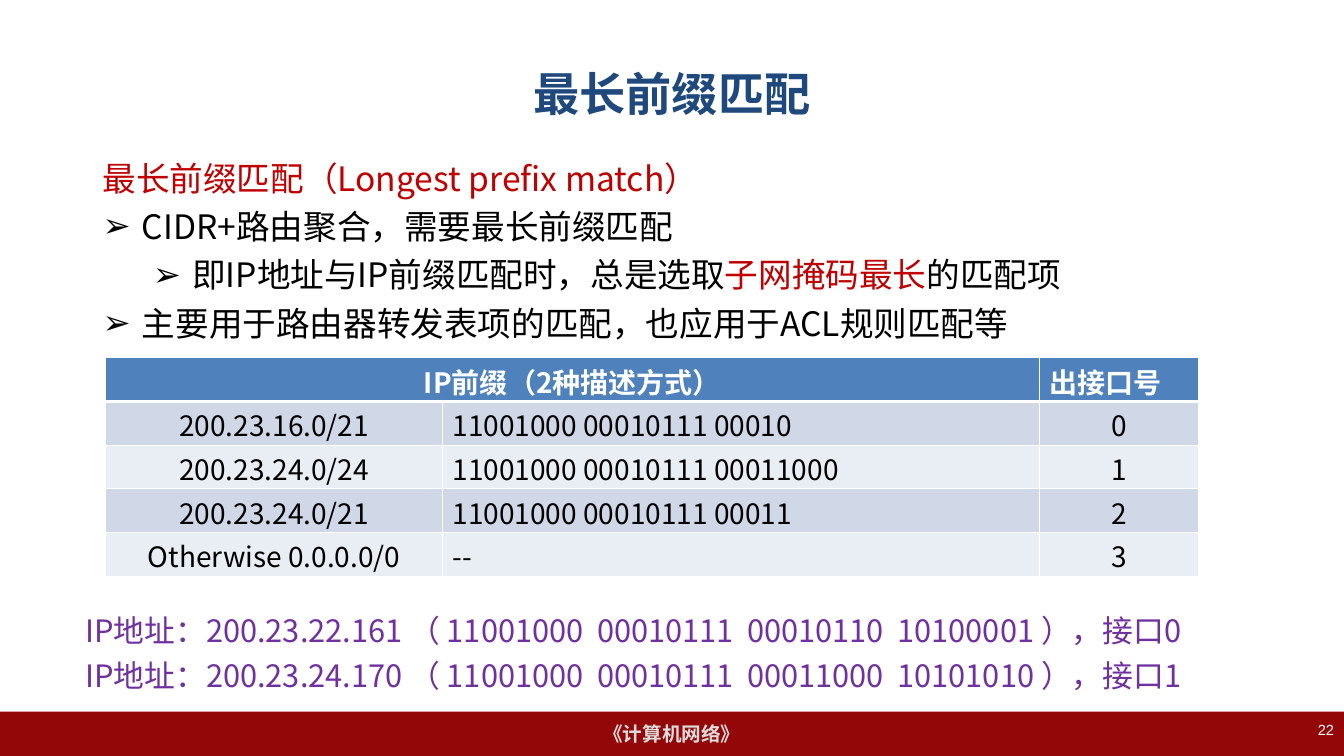
"""Build the longest prefix match slide of a computer networks course."""
from dataclasses import dataclass

import lxml.etree
import pptx
import pptx.dml.color
import pptx.enum.shapes
import pptx.enum.text
import pptx.oxml.ns
import pptx.util

Pt = pptx.util.Pt
RGBColor = pptx.dml.color.RGBColor
Align = pptx.enum.text.PP_ALIGN
Anchor = pptx.enum.text.MSO_ANCHOR
qn = pptx.oxml.ns.qn

WHITE = RGBColor(0xFF, 0xFF, 0xFF)
BLACK = RGBColor(0, 0, 0)
NAVY = RGBColor(0x1F, 0x49, 0x7D)
RED = RGBColor(0xC0, 0, 0)
PURPLE = RGBColor(0x70, 0x30, 0xA0)
MAROON = RGBColor(0x94, 0x07, 0x09)
PALE_GREY = RGBColor(0xDD, 0xDD, 0xDD)
HEADER_BLUE = RGBColor(0x4F, 0x81, 0xBD)
BANDS = (RGBColor(0xD0, 0xD8, 0xE8), RGBColor(0xE9, 0xED, 0xF4))
SANS = "Noto Sans CJK SC"
HANGING = 28.1
ROW_HEIGHT = 31.2
COLUMN_WIDTHS = (240.5, 426.2, 113.8)
COLUMN_ALIGNS = (Align.CENTER, Align.LEFT, Align.CENTER)
HEADER = ("IP前缀（2种描述方式）", "", "出接口号")
ROUTES = (
    ("200.23.16.0/21", "11001000 00010111 00010", "0"),
    ("200.23.24.0/24", "11001000 00010111 00011000", "1"),
    ("200.23.24.0/21", "11001000 00010111 00011", "2"),
    ("Otherwise 0.0.0.0/0", "--", "3"),
)


@dataclass(frozen=True)
class Style:
    """Hold the look of a run."""
    size: float
    color: RGBColor
    name: str = SANS
    bold: bool = False


@dataclass(frozen=True)
class Span:
    """Hold a stretch of text with one style."""
    text: str
    style: Style


@dataclass(frozen=True)
class Para:
    """Hold a paragraph, bulleted when its indent is above zero."""
    spans: tuple[Span, ...]
    align: Align = Align.LEFT
    indent: float = 0
    line: float | None = None
    before: float = 0


@dataclass(frozen=True)
class Box:
    """Hold a text box with its place in points."""
    left: float
    top: float
    width: float
    height: float
    paras: tuple[Para, ...]
    anchor: Anchor = Anchor.TOP
    inset: float = 3.6


def assign(target: object, values: dict) -> None:
    """Set attributes from format values."""
    for key, value in values.items():
        setattr(target, key, value)


def write(frame: pptx.text.text.TextFrame, paras: tuple[Para, ...]) -> None:
    """Fill a text frame with paragraphs."""
    for index, para in enumerate(paras):
        paragraph = frame.add_paragraph() if index else frame.paragraphs[0]
        assign(paragraph, {"alignment": para.align, "space_before": Pt(para.before)})
        if para.line:
            paragraph.line_spacing = Pt(para.line)
        if para.indent:
            properties = paragraph._p.get_or_add_pPr()
            properties.set("marL", str(Pt(para.indent)))
            properties.set("indent", str(-Pt(HANGING)))
            lxml.etree.SubElement(properties, qn("a:buFont"), typeface="Arial")
            lxml.etree.SubElement(properties, qn("a:buChar"), char="➢")
        for span in para.spans:
            run = paragraph.add_run()
            run.text = span.text
            style = span.style
            assign(run.font, {"size": Pt(style.size), "name": style.name, "bold": style.bold})
            run.font.color.rgb = style.color
            lxml.etree.SubElement(run.font._element, qn("a:ea"), typeface=SANS)


def draw_box(page: pptx.slide.Slide, box: Box) -> None:
    """Draw a text box."""
    shape = page.shapes.add_textbox(Pt(box.left), Pt(box.top), Pt(box.width), Pt(box.height))
    assign(shape.text_frame, {"word_wrap": True, "vertical_anchor": box.anchor,
                              "margin_top": Pt(box.inset)})
    write(shape.text_frame, box.paras)


def draw_footer(page: pptx.slide.Slide) -> None:
    """Draw the course name on a bar along the bottom."""
    bar = page.shapes.add_shape(pptx.enum.shapes.MSO_SHAPE.RECTANGLE,
                                Pt(0), Pt(508.3), Pt(960), Pt(31.7))
    bar.shadow.inherit = False
    bar.fill.solid()
    bar.fill.fore_color.rgb = MAROON
    bar.line.fill.background()
    assign(bar.text_frame, {"word_wrap": False, "vertical_anchor": Anchor.MIDDLE})
    course = Span("《计算机网络》", Style(14, PALE_GREY, "Arial", True))
    write(bar.text_frame, (Para((course,), Align.CENTER),))


def draw_cell(cell: pptx.table._Cell, text: str, style: Style, align: Align,
              fill: RGBColor, edges: dict[str, float]) -> None:
    """Fill one table cell and rule its edges in white."""
    properties = cell._tc.get_or_add_tcPr()
    for edge, width in edges.items():
        line = lxml.etree.SubElement(properties, qn(f"a:ln{edge}"), w=str(Pt(width)))
        solid = lxml.etree.SubElement(line, qn("a:solidFill"))
        lxml.etree.SubElement(solid, qn("a:srgbClr"), val=str(WHITE))
    cell.fill.solid()
    cell.fill.fore_color.rgb = fill
    assign(cell, {"margin_top": Pt(7.5), "margin_bottom": Pt(0)})
    write(cell.text_frame, (Para((Span(text, style),), align, line=23.5),))


def draw_routes(page: pptx.slide.Slide) -> None:
    """Draw the forwarding table."""
    rows = (HEADER, *ROUTES)
    table = page.shapes.add_table(len(rows), len(HEADER), Pt(75.6), Pt(255.6),
                                  Pt(sum(COLUMN_WIDTHS)), Pt(ROW_HEIGHT * len(rows))).table
    for column, width in zip(table.columns, COLUMN_WIDTHS):
        column.width = Pt(width)
    for index, texts in enumerate(rows):
        table.rows[index].height = Pt(ROW_HEIGHT)
        head = index == 0
        style = Style(20, WHITE if head else BLACK, bold=head)
        fill = HEADER_BLUE if head else BANDS[(index - 1) % 2]
        edges = {"L": 1, "R": 1, "T": 3 if index == 1 else 1, "B": 3 if head else 1}
        for column, text in enumerate(texts):
            align = Align.LEFT if head and column == 2 else COLUMN_ALIGNS[column]
            draw_cell(table.cell(index, column), text, style, align, fill, edges)
    table.cell(0, 0).merge(table.cell(0, 1))


def main() -> None:
    """Build and save the deck."""
    deck = pptx.Presentation()
    assign(deck, {"slide_width": Pt(960), "slide_height": Pt(540)})
    page = deck.slides.add_slide(deck.slide_layouts[6])
    plain, accent, example = Style(24, BLACK), Style(24, RED), Style(22, PURPLE)
    points = (
        (0, (Span("最长前缀匹配（Longest prefix match）", accent),)),
        (HANGING, (Span("CIDR+路由聚合，需要最长前缀匹配", plain),)),
        (HANGING + 36, (Span("即IP地址与IP前缀匹配时，总是选取", plain),
                        Span("子网掩码最长", accent), Span("的匹配项", plain))),
        (HANGING, (Span("主要用于路由器转发表项的匹配，也应用于ACL规则匹配等", plain),)),
    )
    examples = (
        "IP地址：200.23.22.161 （ 11001000  00010111  00010110  10100001 ），接口0",
        "IP地址：200.23.24.170 （ 11001000  00010111  00011000  10101010 ），接口1",
    )
    title = Span("最长前缀匹配", Style(33, NAVY, "Arial", True))
    number = Span("22", Style(10.5, WHITE, "Arial"))
    draw_footer(page)
    for box in (
        Box(48, 21.6, 864, 90, (Para((title,), Align.CENTER),), Anchor.MIDDLE),
        Box(698.4, 511.2, 261.6, 28.8, (Para((number,), Align.RIGHT),)),
        Box(66.2, 106.6, 829.4, 212.4, tuple(
            Para(spans, indent=indent, line=28.6, before=6) for indent, spans in points), inset=6),
        Box(54, 430.6, 841.7, 69.1, tuple(
            Para((Span(text, example),), line=26.4, before=6) for text in examples), inset=6),
    ):
        draw_box(page, box)
    draw_routes(page)
    deck.save("out.pptx")


if __name__ == "__main__":
    main()
